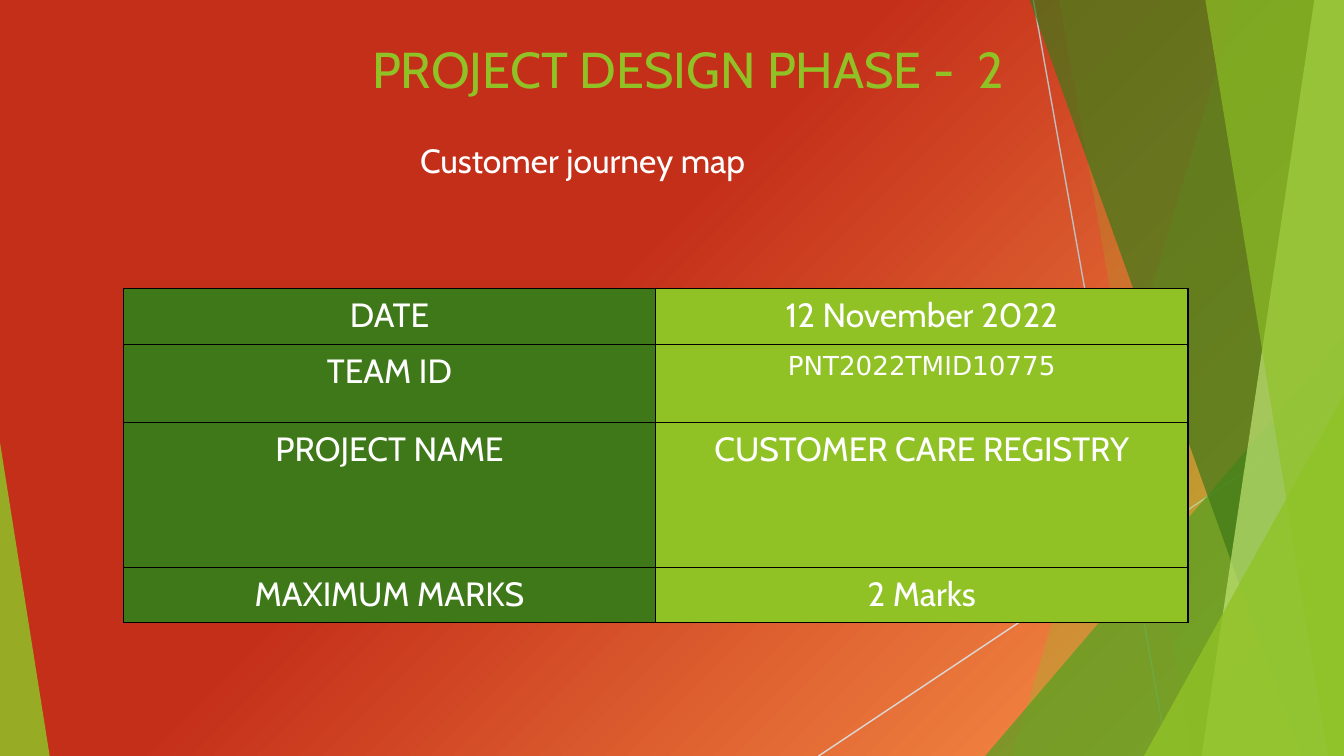
from lxml.etree import SubElement
from pptx import Presentation
from pptx.dml.color import RGBColor
from pptx.enum.shapes import MSO_CONNECTOR, MSO_SHAPE
from pptx.enum.text import MSO_ANCHOR, MSO_AUTO_SIZE, PP_ALIGN
from pptx.oxml import parse_xml
from pptx.oxml.ns import nsdecls, qn
from pptx.util import Cm, Pt

W, H = 25.4, 14.29
LIME, GREEN, DARK, PALE = "90C226", "54A021", "3F7819", "C0E474"
WHITE, BLACK = "FFFFFF", "000000"
FACETS_BACK = [(23.39, 19.13, LIME, 30), (20.02, 22.53, LIME, 20)]
FACETS_FRONT = [(19.46, 24.59, DARK, 70), (24.84, 22.71, PALE, 70), (22.78, 25.1, LIME, 65)]
ROWS = [
    ("DATE", "12 November 2022", 1.06),
    ("TEAM ID", "PNT2022TMID10775", 1.47),
    ("PROJECT NAME", "CUSTOMER CARE REGISTRY", 2.75),
    ("MAXIMUM MARKS", "2 Marks", 1.04),
]


def rgb(color):
    """Turn a hex string into a colour."""
    return RGBColor.from_string(color)


def set_background(s):
    """Give the slide a circular gradient centred on its lower right corner."""
    stops = "".join(
        f'<a:gs pos="{pos}000"><a:srgbClr val="{color}"/></a:gs>'
        for pos, color in [(0, "FF9F4D"), (58, "C42F1A"), (100, "C42F1A")]
    )
    bg = parse_xml(
        f'<p:bg {nsdecls("p", "a")}><p:bgPr><a:gradFill rotWithShape="1"><a:gsLst>{stops}</a:gsLst>'
        '<a:path path="circle"><a:fillToRect l="100000" t="100000"/></a:path>'
        "</a:gradFill><a:effectLst/></p:bgPr></p:bg>"
    )
    s.element.cSld.insert(0, bg)


def add_line(s, x1, y1, x2, y2, color):
    """Add a thin straight line."""
    line = s.shapes.add_connector(MSO_CONNECTOR.STRAIGHT, Cm(x1), Cm(y1), Cm(x2), Cm(y2))
    line.line.color.rgb = rgb(color)
    line.line.width = Pt(0.75)
    SubElement(line.element.spPr, qn("a:effectLst"))


def paint(sp, color, opacity):
    """Fill a shape with a translucent colour and no outline."""
    sp.shadow.inherit = False
    sp.line.fill.background()
    sp.fill.solid()
    sp.fill.fore_color.rgb = rgb(color)
    clr = sp.element.spPr.find(qn("a:solidFill"))[0]
    SubElement(clr, qn("a:alpha"), val=str(opacity * 1000))


def add_facet(s, top_x, bottom_x, color, opacity):
    """Add a full-height facet reaching the right edge of the slide."""
    fb = s.shapes.build_freeform(Cm(top_x), 0)
    fb.add_line_segments([(Cm(W), 0), (Cm(W), Cm(H)), (Cm(bottom_x), Cm(H))], close=True)
    paint(fb.convert_to_shape(), color, opacity)


def add_triangle(s, x, y, w, color, opacity, apex):
    """Add a triangle standing on the bottom edge of the slide."""
    sp = s.shapes.add_shape(MSO_SHAPE.ISOSCELES_TRIANGLE, Cm(x), Cm(y), Cm(w), Cm(H - y))
    sp.adjustments[0] = apex
    paint(sp, color, opacity)


def write(tf, text, size=18, font="Cabin", color=WHITE, align=PP_ALIGN.CENTER):
    """Write one formatted paragraph and return it."""
    p = tf.paragraphs[0]
    p.alignment = align
    p.space_before = Pt(0)
    r = p.add_run()
    r.text = text
    r.font.size = Pt(size)
    r.font.name = font
    r.font.color.rgb = rgb(color)
    return p


def place(sp, x, y, w, h, anchor, top=0):
    """Move a placeholder to the front and return its text frame."""
    sp.left, sp.top, sp.width, sp.height = Cm(x), Cm(y), Cm(w), Cm(h)
    sp.element.getparent().append(sp.element)
    tf = sp.text_frame
    tf.word_wrap = True
    tf.auto_size = MSO_AUTO_SIZE.NONE
    tf.vertical_anchor = anchor
    tf.margin_left = tf.margin_right = tf.margin_bottom = 0
    tf.margin_top = Cm(top)
    return tf


def format_cell(cell, fill):
    """Fill a cell and draw its four borders."""
    tcPr = cell._tc.get_or_add_tcPr()
    for side in ("lnL", "lnR", "lnT", "lnB"):
        ln = SubElement(tcPr, qn(f"a:{side}"), w=str(Pt(0.75)))
        SubElement(SubElement(ln, qn("a:solidFill")), qn("a:srgbClr"), val=BLACK)
    cell.fill.solid()
    cell.fill.fore_color.rgb = rgb(fill)


def add_details(s):
    """Add the table of project details."""
    height = sum(row[2] for row in ROWS)
    frame = s.shapes.add_table(len(ROWS), 2, Cm(2.33), Cm(5.45), Cm(20.12), Cm(height))
    table = frame.table
    for i, (label, value, row_height) in enumerate(ROWS):
        table.rows[i].height = Cm(row_height)
        style = {"size": 14, "font": "DejaVu Sans"} if label == "TEAM ID" else {}
        for j, (text, fill, fmt) in enumerate([(label, DARK, {}), (value, LIME, style)]):
            cell = table.cell(i, j)
            format_cell(cell, fill)
            write(cell.text_frame, text, **fmt)


def add_decoration(s):
    """Add the lines, facets and triangles behind the content."""
    add_line(s, 19.53, 0, 22.07, H, "BFBFBF")
    add_line(s, W, 7.67, 15.47, H, "D9D9D9")
    for facet in FACETS_BACK:
        add_facet(s, *facet)
    add_triangle(s, 18.62, 6.35, 6.78, GREEN, 72, 1)
    for facet in FACETS_FRONT:
        add_facet(s, *facet)
    add_triangle(s, 21.62, 7.47, 3.78, LIME, 80, 1)
    add_triangle(s, 0, 8.36, 0.94, LIME, 85, 0)


def main():
    """Build and save the slide."""
    prs = Presentation()
    prs.slide_width, prs.slide_height = Cm(W), Cm(H)
    s = prs.slides.add_slide(prs.slide_layouts[1])
    set_background(s)
    add_decoration(s)
    title, body = s.placeholders
    tf = place(title, 2.46, 1.02, 21.08, 0.84, MSO_ANCHOR.BOTTOM)
    write(tf, "PROJECT DESIGN PHASE -  2", size=27, color=LIME)
    tf = place(body, 2.16, 1.85, 22.71, 12.07, MSO_ANCHOR.TOP, top=0.79)
    pPr = write(tf, "Customer journey map", align=PP_ALIGN.LEFT)._p.get_or_add_pPr()
    pPr.set("marL", str(Cm(5.78)))
    pPr.set("indent", "0")
    SubElement(pPr, qn("a:buNone"))
    add_details(s)
    prs.save("out.pptx")


if __name__ == "__main__":
    main()
